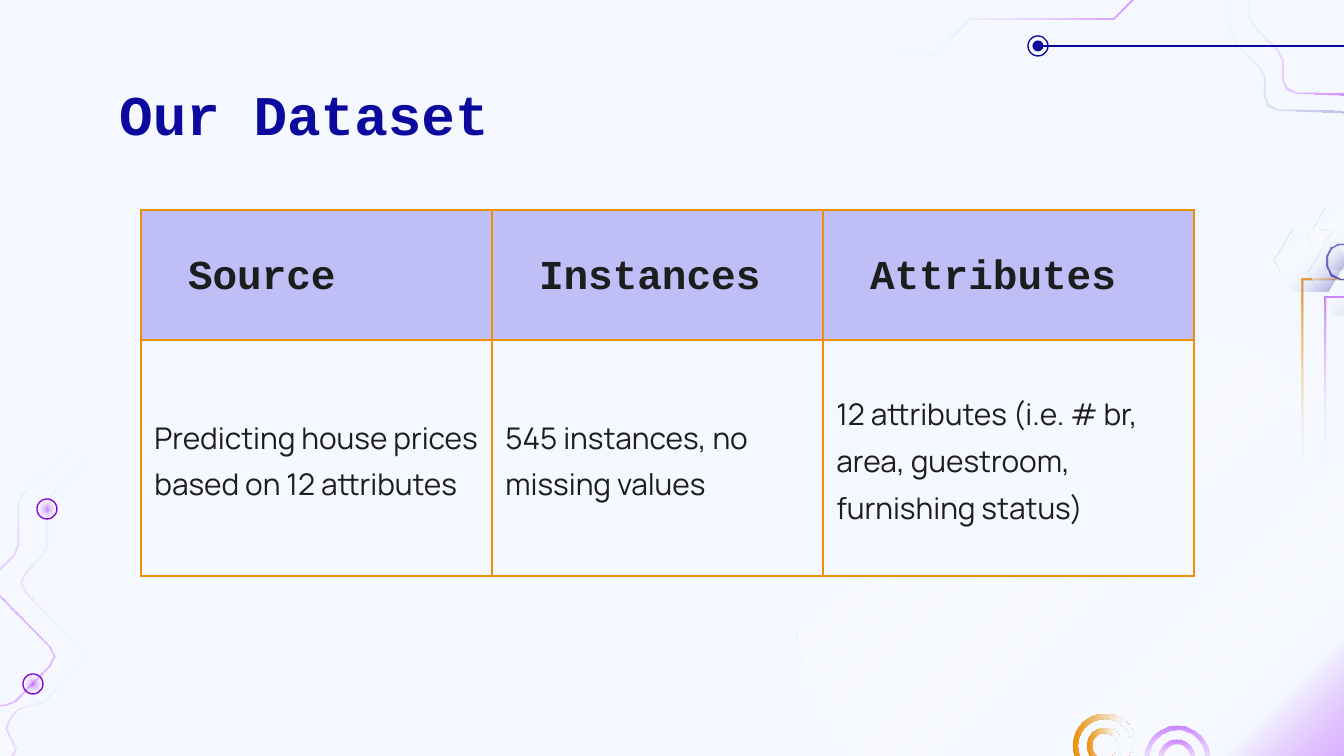
import math
from dataclasses import dataclass

import pptx
import pptx.dml.color
import pptx.enum.shapes
import pptx.enum.text
import pptx.oxml
import pptx.oxml.ns
import pptx.util
from lxml import etree

SCALE = 914400 / 134.4
SHAPE = pptx.enum.shapes.MSO_SHAPE


@dataclass(frozen=True)
class Theme:
    paper: str = "F5F8FF"
    navy: str = "0C0A9E"
    ink: str = "1D1D1D"
    header: str = "BFBEF7"
    orange: str = "EB9109"
    amber: str = "FF9900"
    violet: str = "9900FF"
    purple: str = "8208D5"
    white: str = "FFFFFF"
    heading_font: str = "Courier New"
    body_font: str = "Manrope"
    title_size: int = 30
    header_size: int = 22
    body_size: int = 16
    line_width: float = 0.75


THEME = Theme()
VIOLET_FADE = [(0, THEME.violet, 47), (100, THEME.white, 0)]
NAVY_FADE = [(0, THEME.navy, 100), (100, THEME.white, 0)]
AMBER_FADE = [(0, THEME.orange, 100), (40, THEME.amber, 41), (100, THEME.white, 0)]
RING_FADE = [(0, THEME.orange, 100), (78, THEME.paper, 100), (100, THEME.paper, 100)]
HEXAGON_FADE = [(0, THEME.paper, 100), (22, THEME.paper, 100),
                (45, THEME.white, 0), (100, THEME.navy, 50)]
GLOW_FADE = [(0, THEME.paper, 100), (18, THEME.paper, 100), (56, THEME.white, 0),
             (74, THEME.paper, 100), (100, THEME.violet, 29)]
CENTRE = (50, 50, 50, 50)
TOP_LEFT = (0, 0, 100, 100)

LEFT_TRACE = [
    (-19, 857), (-96, 781), (-101, 771), (-96, 760), (-87, 752), (-76, 747),
    (-66, 752), (-49, 769), (-39, 774), (-28, 769), (-18, 759), (-13, 748),
    (-18, 738), (-23, 728), (-18, 717), (-11, 709), (0, 705), (4, 705),
    (15, 701), (49, 666), (54, 656), (49, 646), (-3, 593), (-8, 582),
    (-3, 572), (14, 555), (18, 544), (18, 505), (22, 495), (75, 443)]
RIGHT_TRACE = [
    (1431, 282), (1340, 279), (1331, 275), (1327, 266), (1327, 256), (1331, 248),
    (1339, 244), (1360, 245), (1369, 241), (1373, 233), (1372, 220), (1367, 212),
    (1359, 208), (1350, 204), (1346, 195), (1346, 185), (1349, 177), (1351, 174),
    (1355, 166), (1354, 125), (1351, 116), (1341, 112), (1278, 110), (1269, 106),
    (1265, 97), (1265, 77), (1260, 68), (1237, 44), (1232, 35), (1230, -27)]
TOP_TRACE = [(1161, -29), (1113, 19), (970, 19), (935, 55), (871, 55)]
BRACKET = [(1361, 298), (1326, 298), (1326, 477)]


def px(value):
    return pptx.util.Emu(round(value * SCALE))


def rgb(value):
    return pptx.dml.color.RGBColor.from_string(value)


def ribbon(points, width):
    normals = []
    for (x1, y1), (x2, y2) in zip(points, points[1:]):
        length = math.hypot(x2 - x1, y2 - y1)
        normals.append(((y1 - y2) / length, (x2 - x1) / length))
    sides = [], []
    for (x, y), (ax, ay), (bx, by) in zip(points, normals[:1] + normals, normals + normals[-1:]):
        reach = width / 2 / (1 + ax * bx + ay * by)
        for side, sign in zip(sides, (1, -1)):
            side.append((x + sign * reach * (ax + bx), y + sign * reach * (ay + by)))
    return sides[0] + sides[1][::-1]


class Painter:
    def __init__(self, theme, slide):
        self.theme = theme
        self.slide = slide

    def background(self):
        fill = self.slide.background.fill
        fill.solid()
        fill.fore_color.rgb = rgb(self.theme.paper)

    def gradient(self, shape, stops, angle=0, focus=None):
        shape.fill.background()
        marks = "".join(
            f'<a:gs pos="{place * 1000}"><a:srgbClr val="{color}">'
            f'<a:alpha val="{alpha * 1000}"/></a:srgbClr></a:gs>'
            for place, color, alpha in stops)
        if focus:
            edges = " ".join(f'{side}="{value * 1000}"' for side, value in zip("ltrb", focus))
            direction = f'<a:path path="circle"><a:fillToRect {edges}/></a:path>'
        else:
            direction = f'<a:lin ang="{angle * 60000}" scaled="0"/>'
        blank = shape._element.spPr.find(pptx.oxml.ns.qn("a:noFill"))
        blank.getparent().replace(blank, pptx.oxml.parse_xml(
            f'<a:gradFill {pptx.oxml.ns.nsdecls("a")} rotWithShape="1">'
            f'<a:gsLst>{marks}</a:gsLst>{direction}</a:gradFill>'))

    def shape(self, kind, left, top, width, height, adjust=None):
        shape = self.slide.shapes.add_shape(kind, px(left), px(top), px(width), px(height))
        shape.shadow.inherit = False
        shape.fill.background()
        shape.line.fill.background()
        if adjust is not None:
            shape.adjustments[0] = adjust
        return shape

    def disc(self, x, y, size):
        return self.shape(SHAPE.OVAL, x - size / 2, y - size / 2, size, size)

    def node(self, x, y, color):
        rim = self.disc(x, y, 20)
        rim.line.color.rgb = rgb(color)
        rim.line.width = pptx.util.Pt(self.theme.line_width)
        return self.disc(x, y, 15 if color == self.theme.purple else 11)

    def rings(self, x, y, stops, angle):
        for size in (64, 36):
            ring = self.shape(SHAPE.DONUT, x - size / 2, y - size / 2, size, size, 5 / size)
            self.gradient(ring, stops, angle)

    def trace(self, points, stops, angle=0, focus=None, shift=(0, 0)):
        moved = [(x + shift[0], y + shift[1]) for x, y in points]
        outline = [(px(x), px(y)) for x, y in ribbon(moved, 2)]
        builder = self.slide.shapes.build_freeform(*outline[0])
        builder.add_line_segments(outline[1:], close=True)
        shape = builder.convert_to_shape()
        shape.shadow.inherit = False
        shape.line.fill.background()
        self.gradient(shape, stops, angle, focus)

    def line(self, x1, y1, x2, y2):
        line = self.slide.shapes.add_connector(
            pptx.enum.shapes.MSO_CONNECTOR.STRAIGHT, px(x1), px(y1), px(x2), px(y2))
        line.line.color.rgb = rgb(self.theme.navy)
        line.line.width = pptx.util.Pt(self.theme.line_width)
        etree.SubElement(line._element.spPr, pptx.oxml.ns.qn("a:effectLst"))

    def add_span(self, para, text, size, font, color, bold):
        span = para.add_run()
        span.text = text
        span.font.size = pptx.util.Pt(size)
        span.font.name = font
        span.font.bold = bold
        span.font.color.rgb = rgb(color)

    def title(self, text, left, top, width, height):
        box = self.slide.shapes.add_textbox(px(left), px(top), px(width), px(height))
        frame = box.text_frame
        frame.word_wrap = True
        frame.margin_left = frame.margin_right = pptx.util.Inches(0.1)
        frame.margin_top = frame.margin_bottom = pptx.util.Inches(0.1)
        self.add_span(frame.paragraphs[0], text, self.theme.title_size,
                      self.theme.heading_font, self.theme.navy, True)

    def cell(self, cell, text, is_header):
        theme = self.theme
        cell.fill.solid()
        cell.fill.fore_color.rgb = rgb(theme.header if is_header else theme.paper)
        cell.vertical_anchor = pptx.enum.text.MSO_ANCHOR.MIDDLE
        cell.margin_left = cell.margin_right = pptx.util.Inches(0.1)
        cell.margin_top = cell.margin_bottom = pptx.util.Inches(0.1)
        for index, side in enumerate("LRTB"):
            cell._tc.tcPr.insert(index, pptx.oxml.parse_xml(
                f'<a:ln{side} {pptx.oxml.ns.nsdecls("a")} w="{int(pptx.util.Pt(theme.line_width))}">'
                f'<a:solidFill><a:srgbClr val="{theme.orange}"/></a:solidFill></a:ln{side}>'))
        para = cell.text_frame.paragraphs[0]
        para.line_spacing = 1.15
        if is_header:
            para._p.get_or_add_pPr().set("marL", str(int(pptx.util.Inches(0.25))))
            self.add_span(para, text, theme.header_size, theme.heading_font, theme.ink, True)
        else:
            self.add_span(para, text, theme.body_size, theme.body_font, theme.ink, False)

    def table(self, rows, left, top, widths, heights):
        table = self.slide.shapes.add_table(
            len(rows), len(widths), px(left), px(top), px(sum(widths)), px(sum(heights))).table
        table.horz_banding = False
        for column, width in zip(table.columns, widths):
            column.width = px(width)
        for index, (row, height) in enumerate(zip(rows, heights)):
            table.rows[index].height = px(height)
            for place, text in enumerate(row):
                self.cell(table.cell(index, place), text, index == 0)


def main():
    deck = pptx.Presentation()
    deck.slide_width, deck.slide_height = px(1344), px(756)
    page = Painter(THEME, deck.slides.add_slide(deck.slide_layouts[6]))
    page.background()
    page.gradient(page.shape(SHAPE.OVAL, 794, 327, 626, 532), GLOW_FADE, focus=TOP_LEFT)
    page.rings(1177, 758, VIOLET_FADE, 90)
    page.rings(1105, 746, RING_FADE, 0)
    page.trace(LEFT_TRACE, VIOLET_FADE, focus=CENTRE)
    page.trace(LEFT_TRACE, VIOLET_FADE, shift=(29, 0))
    for x, y in ((33, 684), (47, 509)):
        page.gradient(page.node(x, y, THEME.purple), VIOLET_FADE, focus=CENTRE)
    page.trace(BRACKET, VIOLET_FADE, 90)
    page.trace(BRACKET, AMBER_FADE, 45, shift=(-23, -18))
    for left, top, width, height in ((1309, 230, 99, 86), (1308, 208, 71, 62), (1275, 230, 71, 62)):
        page.gradient(page.shape(SHAPE.HEXAGON, left, top, width, height, 0.29), HEXAGON_FADE, 45)
    page.trace(RIGHT_TRACE, NAVY_FADE, 225)
    page.trace(RIGHT_TRACE, VIOLET_FADE, focus=CENTRE, shift=(18, -17))
    page.trace(TOP_TRACE, VIOLET_FADE, 180)
    core = page.node(1038, 46, THEME.navy)
    core.fill.solid()
    core.fill.fore_color.rgb = rgb(THEME.navy)
    page.line(1344, 46, 1042, 46)
    page.title("Our Dataset", 106, 66, 1133, 85)
    page.table([
        ("Source", "Instances", "Attributes"),
        ("Predicting house prices based on 12 attributes",
         "545 instances, no missing values",
         "12 attributes (i.e. # br, area, guestroom, furnishing status)"),
    ], 141, 210, (351, 331, 371), (130, 236))
    deck.save("out.pptx")


if __name__ == "__main__":
    main()
